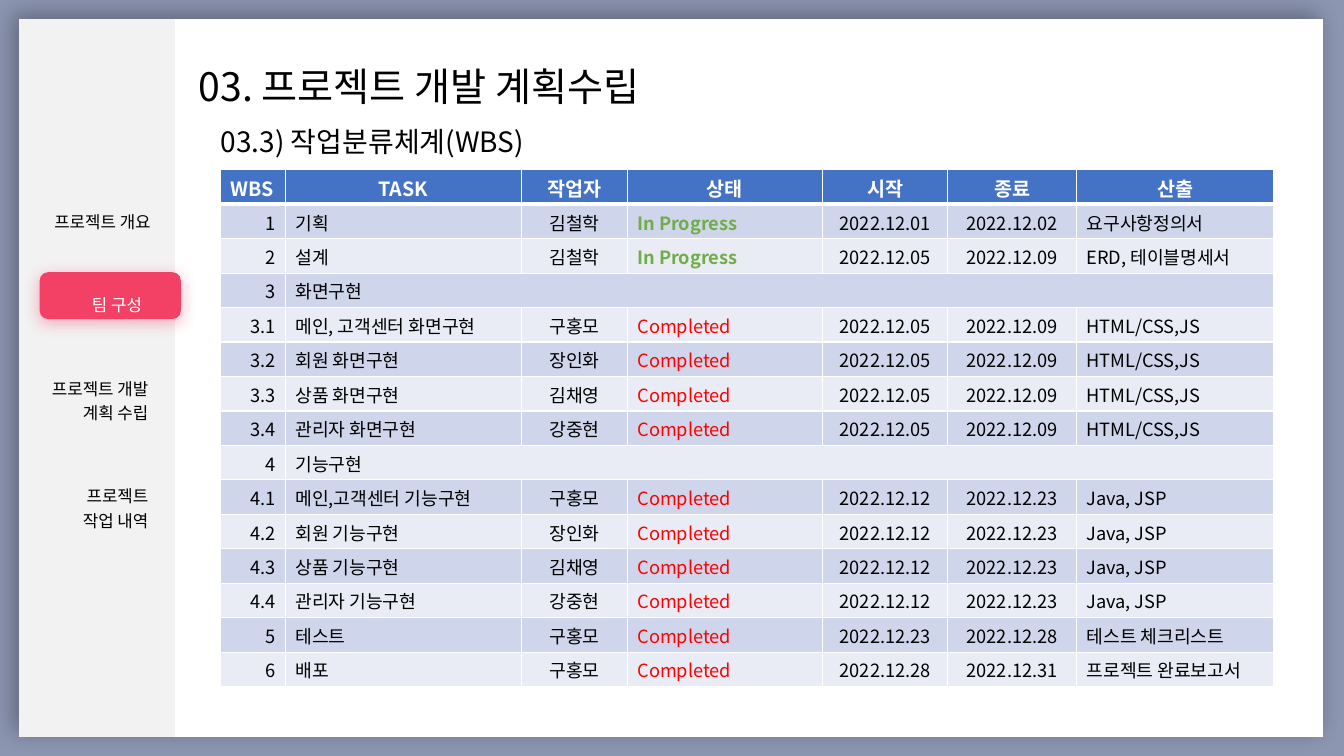
from dataclasses import dataclass
from lxml.etree import SubElement
from pptx import Presentation
from pptx.dml.color import RGBColor as Color
from pptx.enum.shapes import MSO_SHAPE as Preset
from pptx.enum.text import MSO_ANCHOR as Anchor, MSO_AUTO_SIZE as Fit, PP_ALIGN as Align
from pptx.oxml.ns import qn
from pptx.util import Cm, Pt


@dataclass(frozen=True)
class Theme:
    font: str = "Noto Sans CJK KR"
    title: float = 28
    subtitle: float = 20
    header: float = 14
    body: float = 13
    menu: float = 12
    backdrop: str = "8C96B1"
    sidebar: str = "F2F2F2"
    white: str = "FFFFFF"
    black: str = "000000"
    accent: str = "F34165"
    heading: str = "4472C4"
    bands: tuple = ("CFD5EA", "E9EBF5")


theme = Theme()
TITLE = "03. 프로젝트 개발 계획수립"
SUBTITLE = "03.3) 작업분류체계(WBS)"
SPACER = ("", theme.black, 1.04, 0.66)
MENU = [
    SPACER,
    ("프로젝트 개요", theme.black, 1.78, 0.6),
    ("팀 구성", theme.white, 2.43, 0.82),
    ("프로젝트 개발\n계획 수립", theme.black, 2.38, 0.66),
    ("프로젝트\n작업 내역", theme.black, 3.04, 0.66),
    *[SPACER] * 4,
]
STATUS = {"In Progress": ("70AD47", True), "Completed": ("FF0000", False)}
COLUMNS = [
    ("WBS", 1.64, Align.RIGHT),
    ("TASK", 5.95, Align.LEFT),
    ("작업자", 2.67, Align.CENTER),
    ("상태", 4.92, Align.LEFT),
    ("시작", 3.15, Align.CENTER),
    ("종료", 3.25, Align.CENTER),
    ("산출", 4.97, Align.LEFT),
]
TASKS = [
    ("1", "기획", "김철학", "In Progress", "2022.12.01", "2022.12.02", "요구사항정의서"),
    ("2", "설계", "김철학", "In Progress", "2022.12.05", "2022.12.09", "ERD, 테이블명세서"),
    ("3", "화면구현"),
    ("3.1", "메인, 고객센터 화면구현", "구홍모", "Completed", "2022.12.05", "2022.12.09", "HTML/CSS,JS"),
    ("3.2", "회원 화면구현", "장인화", "Completed", "2022.12.05", "2022.12.09", "HTML/CSS,JS"),
    ("3.3", "상품 화면구현", "김채영", "Completed", "2022.12.05", "2022.12.09", "HTML/CSS,JS"),
    ("3.4", "관리자 화면구현", "강중현", "Completed", "2022.12.05", "2022.12.09", "HTML/CSS,JS"),
    ("4", "기능구현"),
    ("4.1", "메인,고객센터 기능구현", "구홍모", "Completed", "2022.12.12", "2022.12.23", "Java, JSP"),
    ("4.2", "회원 기능구현", "장인화", "Completed", "2022.12.12", "2022.12.23", "Java, JSP"),
    ("4.3", "상품 기능구현", "김채영", "Completed", "2022.12.12", "2022.12.23", "Java, JSP"),
    ("4.4", "관리자 기능구현", "강중현", "Completed", "2022.12.12", "2022.12.23", "Java, JSP"),
    ("5", "테스트", "구홍모", "Completed", "2022.12.23", "2022.12.28", "테스트 체크리스트"),
    ("6", "배포", "구홍모", "Completed", "2022.12.28", "2022.12.31", "프로젝트 완료보고서"),
]
TABLE_HEIGHT = 13.03
PLAIN_TABLE = "{2D5ABB26-0587-4C30-8999-92F81FD0307C}"


def write(frame, text, size, color=theme.black, align=Align.LEFT, bold=False):
    frame.text = text
    for para in frame.paragraphs:
        para.alignment = align
        font = para.font
        font.name, font.size, font.bold = theme.font, Pt(size), bold
        font.color.rgb = Color.from_string(color)
        properties = para._p.pPr.find(qn("a:defRPr"))
        SubElement(properties, qn("a:ea"), typeface=theme.font)


def place(shape, left, top, width, height):
    shape.left, shape.top = Cm(left), Cm(top)
    shape.width, shape.height = Cm(width), Cm(height)


def cast_shadow(shape, color, alpha, blur, distance, angle):
    shape.shadow.inherit = False
    effects = shape._element.spPr.find(qn("a:effectLst"))
    shadow = SubElement(effects, qn("a:outerShdw"), blurRad=str(Pt(blur)), dist=str(Pt(distance)),
                        dir=str(angle * 60000), algn="ctr", rotWithShape="0")
    tint = SubElement(shadow, qn("a:srgbClr"), val=color)
    SubElement(tint, qn("a:alpha"), val=str(alpha * 1000))


def add_plain_table(rows, columns, left, top, width, height):
    table = page.shapes.add_table(rows, columns, Cm(left), Cm(top), Cm(width), Cm(height)).table
    table.first_row = table.horz_banding = False
    table._tbl.tblPr.find(qn("a:tableStyleId")).text = PLAIN_TABLE
    return table


def paint_cell(cell, fill, bottom=1):
    cell.fill.solid()
    cell.fill.fore_color.rgb = Color.from_string(fill)
    cell.vertical_anchor = Anchor.MIDDLE
    cell.margin_top, cell.margin_bottom = Cm(0.03), Cm(0)
    properties = cell._tc.tcPr
    for index, (side, weight) in enumerate((("L", 1), ("R", 1), ("T", 1), ("B", bottom))):
        line = SubElement(properties, qn(f"a:ln{side}"), w=str(Pt(weight)))
        SubElement(SubElement(line, qn("a:solidFill")), qn("a:srgbClr"), val=theme.white)
        properties.insert(index, line)


deck = Presentation()
deck.slide_width, deck.slide_height = Cm(33.87), Cm(19.05)
page = deck.slides.add_slide(deck.slide_layouts[5])
page.background.fill.solid()
page.background.fill.fore_color.rgb = Color.from_string(theme.backdrop)

card = page.shapes.add_shape(Preset.RECTANGLE, Cm(0.48), Cm(0.48), Cm(32.86), Cm(18.09))
card.fill.gradient()
card.fill.gradient_angle = 0
for stop, color in zip(card.fill.gradient_stops, (theme.sidebar, theme.white)):
    stop.position = 0.12
    stop.color.rgb = Color.from_string(color)
card.line.fill.background()
cast_shadow(card, theme.black, 31, 17, 5, 225)

button = page.shapes.add_shape(Preset.ROUNDED_RECTANGLE, Cm(1), Cm(6.86), Cm(3.56), Cm(1.18))
button.adjustments[0] = 0.18
button.fill.solid()
button.fill.fore_color.rgb = Color.from_string(theme.accent)
button.line.fill.background()
cast_shadow(button, theme.accent, 41, 12, 3, 90)

menu = add_plain_table(len(MENU), 1, 0.74, 3.64, 3.66, sum(entry[2] for entry in MENU))
for row, (label, color, height, margin) in zip(menu.rows, MENU):
    row.height = Cm(height)
    cell = row.cells[0]
    cell.vertical_anchor = Anchor.MIDDLE
    cell.margin_left = cell.margin_top = cell.margin_bottom = Cm(0)
    cell.margin_right = Cm(margin)
    write(cell.text_frame, label, theme.menu, color, Align.RIGHT)

title = page.shapes.title
page.shapes._spTree.append(title._element)
place(title, 4.75, 1.45, 21.21, 1.45)
subtitle = page.shapes.add_textbox(0, 0, 0, 0)
place(subtitle, 5.31, 3, 9.7, 1.12)
for box, text, size in ((title, TITLE, theme.title), (subtitle, SUBTITLE, theme.subtitle)):
    frame = box.text_frame
    frame.word_wrap, frame.auto_size = True, Fit.NONE
    frame.vertical_anchor = Anchor.MIDDLE
    write(frame, text, size)

row_count = len(TASKS) + 1
wbs = add_plain_table(row_count, len(COLUMNS), 5.55, 4.28,
                      sum(column[1] for column in COLUMNS), TABLE_HEIGHT)
for index, (name, width, _) in enumerate(COLUMNS):
    wbs.columns[index].width = Cm(width)
    cell = wbs.cell(0, index)
    paint_cell(cell, theme.heading, bottom=3)
    write(cell.text_frame, name, theme.header, theme.white,
          Align.CENTER if index else Align.LEFT, bold=True)
for number, task in enumerate(TASKS, 1):
    for index in range(len(COLUMNS)):
        paint_cell(wbs.cell(number, index), theme.bands[(number - 1) % 2])
    if len(task) < len(COLUMNS):
        wbs.cell(number, len(task) - 1).merge(wbs.cell(number, len(COLUMNS) - 1))
    for index, text in enumerate(task):
        color, bold = STATUS.get(text, (theme.black, False))
        write(wbs.cell(number, index).text_frame, text, theme.body, color, COLUMNS[index][2], bold)

deck.save("out.pptx")
